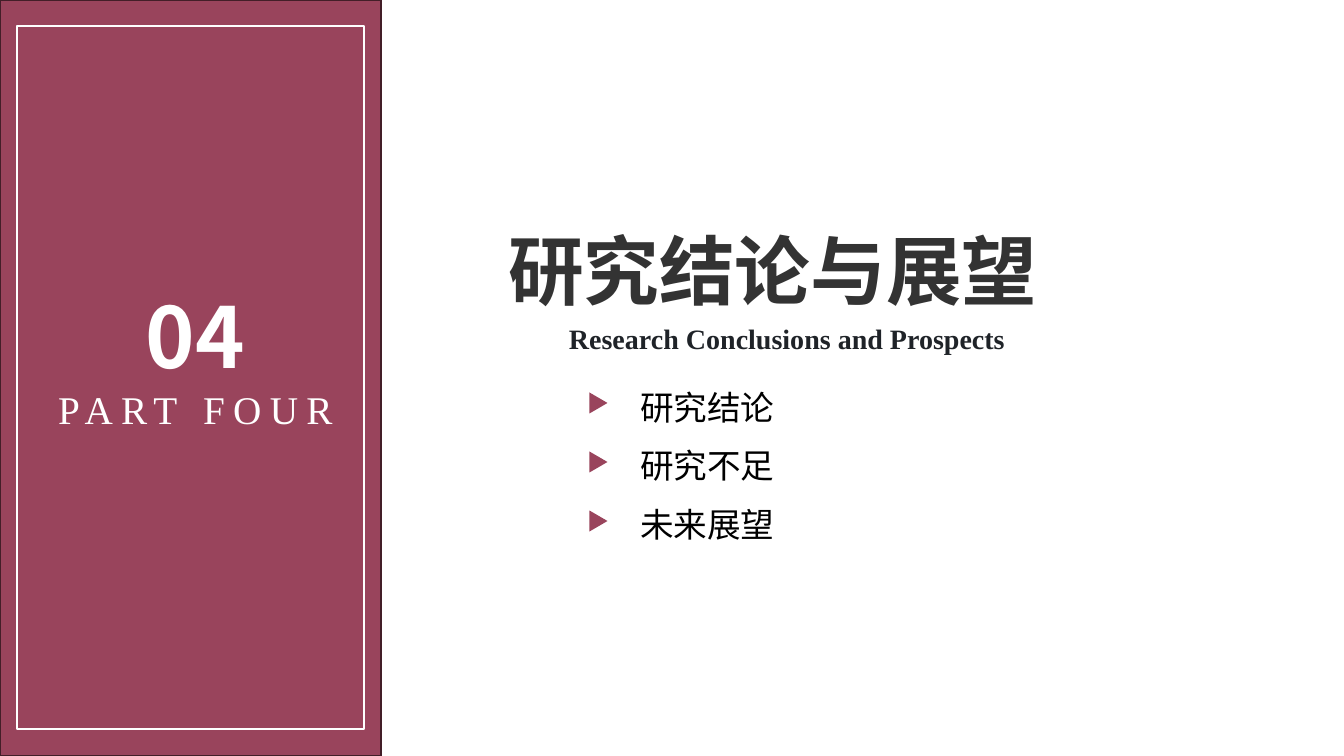
import pptx
import pptx.dml.color
import pptx.enum.shapes
import pptx.enum.text
import pptx.oxml.ns
import pptx.util
from lxml import etree

PX = 914400 / 100.8
COLORS = {"wine": "99445C", "edge": "431E28", "white": "FFFFFF",
          "title": "333333", "subtitle": "1F2328", "item": "000000"}
SANS, SERIF = "Noto Sans CJK SC", "Times New Roman"
ITEMS = ["研究结论", "研究不足", "未来展望"]
ITEM_PITCH = 59
SHAPES = pptx.enum.shapes.MSO_SHAPE
ALIGN = pptx.enum.text.PP_ALIGN


def px(*lengths):
    return [pptx.util.Emu(round(length * PX)) for length in lengths]


def color(name):
    return pptx.dml.color.RGBColor.from_string(COLORS[name])


def place(shape, box):
    shape.left, shape.top, shape.width, shape.height = px(*box)


def add_shape(slide, kind, box, fill=None, line=None):
    shape = slide.shapes.add_shape(kind, *px(*box))
    shape.shadow.inherit = False
    if fill:
        shape.fill.solid()
        shape.fill.fore_color.rgb = color(fill)
    else:
        shape.fill.background()
    if line:
        shape.line.color.rgb = color(line)
        shape.line.width = pptx.util.Pt(1)
    else:
        shape.line.fill.background()
    return shape


def format_paragraph(paragraph, size, face, fill, bold=False, align=ALIGN.LEFT):
    paragraph.alignment = align
    font = paragraph.font
    font.size, font.name, font.bold = pptx.util.Pt(size), face, bold
    font.color.rgb = color(fill)
    properties = paragraph._p.pPr.find(pptx.oxml.ns.qn("a:defRPr"))
    etree.SubElement(properties, pptx.oxml.ns.qn("a:ea"), typeface=face)
    return properties


def add_text(slide, box, lines):
    frame = slide.shapes.add_textbox(*px(*box)).text_frame
    frame.word_wrap = True
    frame.text = "\n".join(lines)
    return frame.paragraphs


def add_part_panel(slide):
    add_shape(slide, SHAPES.RECTANGLE, (0, 0, 381, 756), "wine", "edge")
    add_shape(slide, SHAPES.RECTANGLE, (17, 26, 347, 703), line="white")
    number, label = add_text(slide, (32, 310, 327, 128), ["04", "PART FOUR"])
    format_paragraph(number, 60, SANS, "white", True, ALIGN.CENTER)
    number.line_spacing = pptx.util.Pt(50)
    properties = format_paragraph(label, 28, SERIF, "white", align=ALIGN.CENTER)
    properties.set("spc", "600")


def add_headings(slide):
    title = slide.shapes.title
    place(title, (498, 218, 672, 102))
    title.text_frame.text = "研究结论与展望"
    title.text_frame.auto_size = pptx.enum.text.MSO_AUTO_SIZE.NONE
    format_paragraph(title.text_frame.paragraphs[0], 54, SANS, "title", True)
    subtitle, = add_text(slide, (559, 317, 460, 44),
                         ["Research Conclusions and Prospects"])
    format_paragraph(subtitle, 20, SERIF, "subtitle", True)


def add_topic_list(slide):
    body = slide.placeholders[1]
    place(body, (630, 363, 301, 3 * ITEM_PITCH + 10))
    frame = body.text_frame
    frame.text = "\n".join(ITEMS)
    frame.auto_size = pptx.enum.text.MSO_AUTO_SIZE.NONE
    for row, paragraph in enumerate(frame.paragraphs):
        paragraph.line_spacing = pptx.util.Pt(42)
        paragraph.space_before = pptx.util.Pt(0)
        properties = format_paragraph(paragraph, 24, SANS, "item")
        paragraph._p.pPr.set("marL", "0")
        paragraph._p.pPr.set("indent", "0")
        properties.addprevious(etree.Element(pptx.oxml.ns.qn("a:buNone")))
        marker = add_shape(slide, SHAPES.ISOSCELES_TRIANGLE,
                           (588, 394 + row * ITEM_PITCH, 21, 18), "wine")
        marker.rotation = 90


def main():
    presentation = pptx.Presentation()
    presentation.slide_width, presentation.slide_height = px(1344, 756)
    slide = presentation.slides.add_slide(presentation.slide_layouts[1])
    add_part_panel(slide)
    add_headings(slide)
    add_topic_list(slide)
    presentation.save("out.pptx")


if __name__ == "__main__":
    main()
